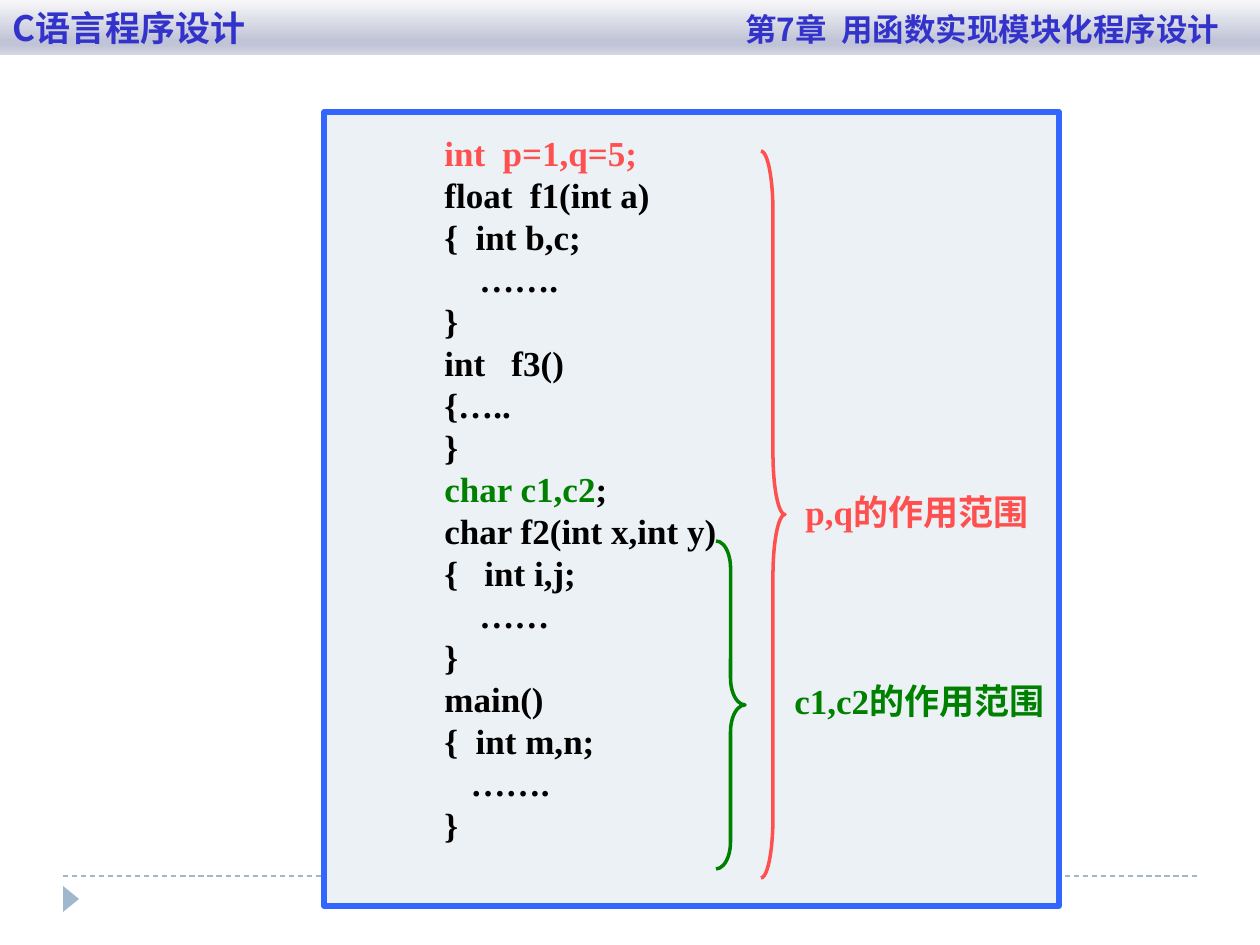
from lxml import etree
from pptx import Presentation
from pptx.dml.color import RGBColor
from pptx.enum.dml import MSO_LINE
from pptx.enum.shapes import MSO_CONNECTOR, MSO_SHAPE
from pptx.enum.text import MSO_ANCHOR, PP_ALIGN
from pptx.oxml.ns import qn
from pptx.util import Pt

PX = 914400 / 126
RECT = MSO_SHAPE.RECTANGLE
BRACE = MSO_SHAPE.RIGHT_BRACE
TRIANGLE = MSO_SHAPE.ISOSCELES_TRIANGLE
STRAIGHT = MSO_CONNECTOR.STRAIGHT
DASH = MSO_LINE.DASH
LEFT = PP_ALIGN.LEFT
TOP, MIDDLE = MSO_ANCHOR.TOP, MSO_ANCHOR.MIDDLE

RED = RGBColor(0xFF, 0x50, 0x50)
GREEN = RGBColor(0x00, 0x80, 0x00)
BLACK = RGBColor(0x00, 0x00, 0x00)
BLUE = RGBColor(0x33, 0x66, 0xFF)
NAVY = RGBColor(0x33, 0x33, 0xCC)
STEEL = RGBColor(0x9F, 0xB8, 0xCD)
PALE = RGBColor(0xEC, 0xF1, 0xF5)
MIST = RGBColor(0xF8, 0xF8, 0xFA)
GREY = RGBColor(0xC0, 0xC4, 0xD6)
SILVER = RGBColor(0xD5, 0xD8, 0xE3)

SERIF = "Times New Roman"
SANS = "Noto Sans CJK JP"

CODE = [
    [("int  p=1,q=5;", RED)],
    [("float  f1(int a)", BLACK)],
    [("{  int b,c;", BLACK)],
    [("    …….", BLACK)],
    [("}", BLACK)],
    [("int   f3()", BLACK)],
    [("{…..", BLACK)],
    [("}", BLACK)],
    [("char c1,c2", GREEN), (";", BLACK)],
    [("char f2(int x,int y)", BLACK)],
    [("{   int i,j;", BLACK)],
    [("    ……", BLACK)],
    [("}", BLACK)],
    [("main()", BLACK)],
    [("{  int m,n;", BLACK)],
    [("   …….", BLACK)],
    [("}", BLACK)],
]
SCOPES = [
    ("c1,c2的作用范围", GREEN, (716, 541, 29, 328), 0.93, (782, 673, 276, 54)),
    ("p,q的作用范围", RED, (761, 151, 24, 727), 2.54, (793, 484, 249, 54)),
]
STOPS = [(0, MIST), (74, GREY), (83, GREY), (100, SILVER)]


def px(*nums):
    return [round(n * PX) for n in nums]


def apply(item, values):
    for name, value in values.items():
        setattr(item, name, value)


def add_run(para, text, color, font=SERIF, size=20):
    run = para.add_run()
    run.text = text
    apply(run.font, {"name": font, "size": Pt(size), "bold": True})
    run.font.color.rgb = color
    east = etree.SubElement(run.font._element, qn("a:ea"))
    east.set("typeface", SANS)


def add_form(slide, kind, box, fill=None, line=None, width=1):
    form = slide.shapes.add_shape(kind, *px(*box))
    form.shadow.inherit = False
    if fill is None:
        form.fill.background()
    else:
        form.fill.solid()
        form.fill.fore_color.rgb = fill
    if line is None:
        form.line.fill.background()
    else:
        form.line.color.rgb = line
        form.line.width = Pt(width)
    return form


def add_text(slide, box, lines):
    frame = slide.shapes.add_textbox(*px(*box)).text_frame
    apply(frame, {"word_wrap": True, "vertical_anchor": TOP})
    for num, runs in enumerate(lines):
        para = frame.add_paragraph() if num else frame.paragraphs[0]
        apply(para, {"alignment": LEFT, "line_spacing": Pt(24)})
        for text, color in runs:
            add_run(para, text, color)


def add_brace(slide, box, color, curl):
    brace = add_form(slide, BRACE, box, line=color, width=2)
    brace.adjustments[0] = curl
    brace.adjustments[1] = 0.5


def add_rule(slide):
    rule = slide.shapes.add_connector(STRAIGHT, *px(63, 876, 1197, 876))
    rule.line.color.rgb = STEEL
    apply(rule.line, {"width": Pt(0.75), "dash_style": DASH})
    etree.SubElement(rule._element.spPr, qn("a:effectLst"))


def shade(form, stops):
    form.fill.gradient()
    form.fill.gradient_angle = 270
    group = form._element.spPr.find(qn("a:gradFill")).find(qn("a:gsLst"))
    for old in list(group):
        group.remove(old)
    for place, color in stops:
        stop = etree.SubElement(group, qn("a:gs"), pos=str(place * 1000))
        etree.SubElement(stop, qn("a:srgbClr"), val=str(color))


def add_head(slide):
    head = add_form(slide, RECT, (0, 0, 1260, 55), fill=MIST)
    shade(head, STOPS)
    frame = head.text_frame
    apply(frame, {"word_wrap": True, "vertical_anchor": MIDDLE,
                  "margin_top": 0, "margin_bottom": 0})
    para = frame.paragraphs[0]
    para.alignment = LEFT
    tabs = etree.SubElement(para._p.get_or_add_pPr(), qn("a:tabLst"))
    etree.SubElement(tabs, qn("a:tab"), pos=str(px(1207)[0]), algn="r")
    add_run(para, "C语言程序设计\t", NAVY, SANS)
    add_run(para, "第7章  用函数实现模块化程序设计", NAVY, SANS, 18)


def main():
    deck = Presentation()
    wide, high = px(1260, 945)
    apply(deck, {"slide_width": wide, "slide_height": high})
    slide = deck.slides.add_slide(deck.slide_layouts[6])
    add_rule(slide)
    add_form(slide, TRIANGLE, (58, 891, 26, 16), fill=STEEL).rotation = 90
    add_form(slide, RECT, (324, 112, 735, 794), PALE, BLUE, 3)
    add_text(slide, (432, 125, 310, 769), CODE)
    for text, color, arm, curl, box in SCOPES:
        add_brace(slide, arm, color, curl)
        add_text(slide, box, [[(text, color)]])
    add_head(slide)
    deck.save("out.pptx")


if __name__ == "__main__":
    main()
